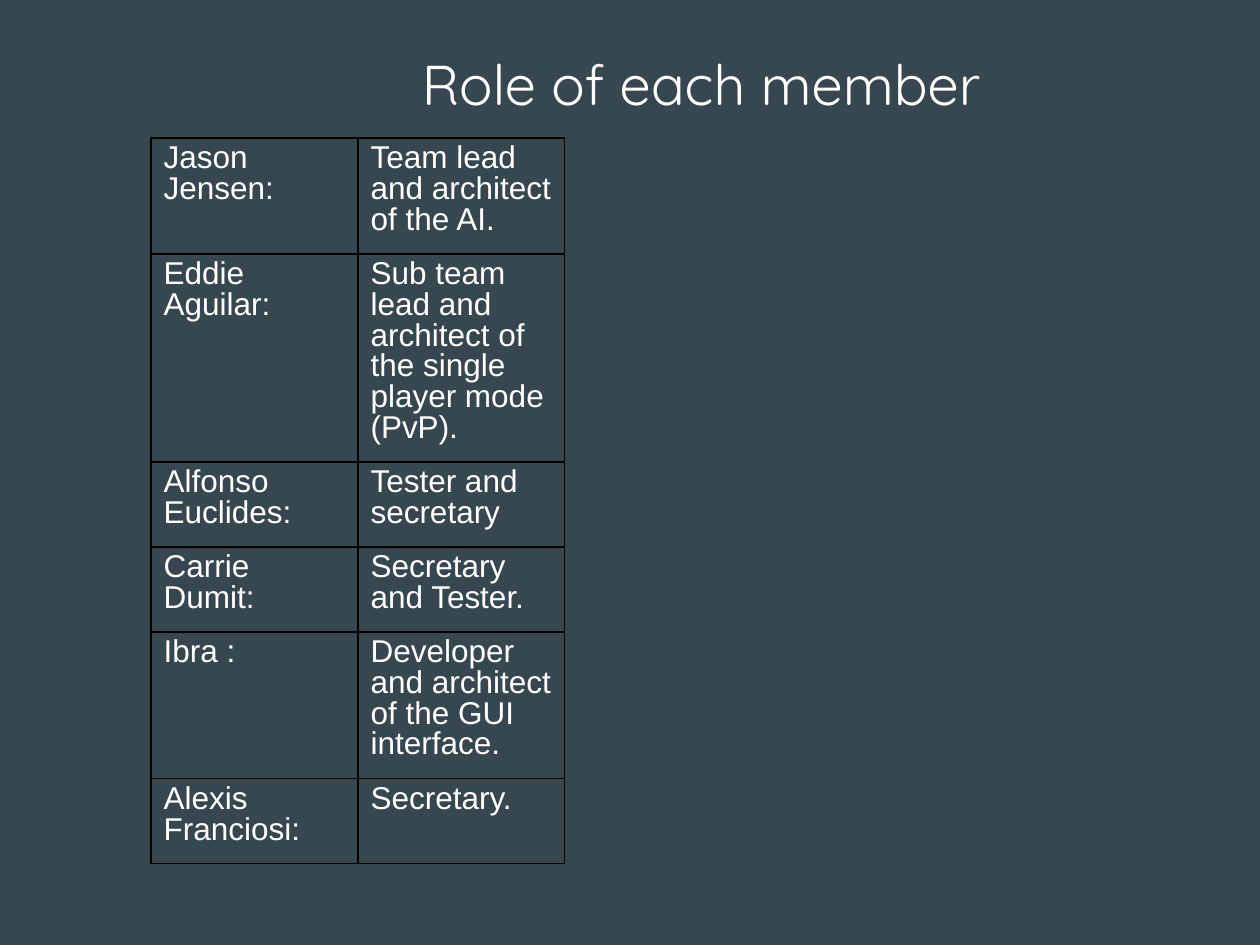
from lxml.etree import SubElement
from pptx import Presentation
from pptx.dml.color import RGBColor
from pptx.enum.text import MSO_ANCHOR, MSO_AUTO_SIZE, PP_ALIGN
from pptx.oxml.ns import qn
from pptx.util import Pt

EMU_PER_PX = 914400 / 126
COLORS = {"background": "37474F", "text": "FFFFFF", "border": "000000"}
ROLES = [
    ("Jason Jensen:", "Team lead and architect of the AI."),
    ("Eddie Aguilar:",
     "Sub team lead and architect of the single player mode (PvP)."),
    ("Alfonso Euclides:", "Tester and secretary"),
    ("Carrie Dumit:", "Secretary and Tester."),
    ("Ibra :", "Developer and architect of the GUI interface."),
    ("Alexis Franciosi:", "Secretary."),
]
ROW_HEIGHTS = [116, 208, 85, 85, 147, 85]
COLUMN_WIDTH = 207


def px(n):
    return round(n * EMU_PER_PX)


def color(name):
    return RGBColor.from_string(COLORS[name])


class SlideBuilder:
    """Holds the style and the current slide."""

    title_font, title_size = "Quicksand", 32
    body_font, body_size = "Arial", 18
    line_spacing = 0.87

    def __init__(self, prs):
        self.slide = prs.slides.add_slide(prs.slide_layouts[5])
        fill = self.slide.background.fill
        fill.solid()
        fill.fore_color.rgb = color("background")

    def format_runs(self, p, font, size):
        for r in p.runs:
            r.font.name = font
            r.font.size = Pt(size)
            r.font.bold = False
            r.font.color.rgb = color("text")

    def title(self, text, x, y, w, h, indent):
        sp = self.slide.shapes.title
        sp.left, sp.top, sp.width, sp.height = map(px, (x, y, w, h))
        tf = sp.text_frame
        tf.text = text
        tf.word_wrap = True
        tf.auto_size = MSO_AUTO_SIZE.NONE
        tf.vertical_anchor = MSO_ANCHOR.TOP
        p = tf.paragraphs[0]
        p.alignment = PP_ALIGN.CENTER
        p.space_before = Pt(0)
        pPr = p._p.get_or_add_pPr()
        pPr.set("marL", str(px(indent)))
        pPr.set("indent", "0")
        self.format_runs(p, self.title_font, self.title_size)

    def table(self, rows, x, y, column_width, row_heights):
        columns = len(rows[0])
        frame = self.slide.shapes.add_table(
            len(rows), columns, px(x), px(y),
            px(column_width * columns), px(sum(row_heights)))
        table = frame.table
        table.first_row = table.horz_banding = False
        for column in table.columns:
            column.width = px(column_width)
        for row, height, texts in zip(table.rows, row_heights, rows):
            row.height = px(height)
            for cell, text in zip(row.cells, texts):
                self.cell(cell, text)

    def cell(self, cell, text):
        cell.text_frame.text = text
        p = cell.text_frame.paragraphs[0]
        p.line_spacing = self.line_spacing
        self.format_runs(p, self.body_font, self.body_size)
        self.borders(cell)
        cell.fill.background()

    def borders(self, cell):
        tcPr = cell._tc.get_or_add_tcPr()
        for side in ("a:lnL", "a:lnR", "a:lnT", "a:lnB"):
            ln = SubElement(tcPr, qn(side), w=str(Pt(0.75)))
            fill = SubElement(ln, qn("a:solidFill"))
            SubElement(fill, qn("a:srgbClr"), val=COLORS["border"])


def main():
    prs = Presentation()
    prs.slide_width, prs.slide_height = px(1260), px(945)
    builder = SlideBuilder(prs)
    builder.title("Role of each member", 151, 43, 903, 210, indent=198)
    builder.table(ROLES, 151, 138, COLUMN_WIDTH, ROW_HEIGHTS)
    prs.save("out.pptx")


if __name__ == "__main__":
    main()
